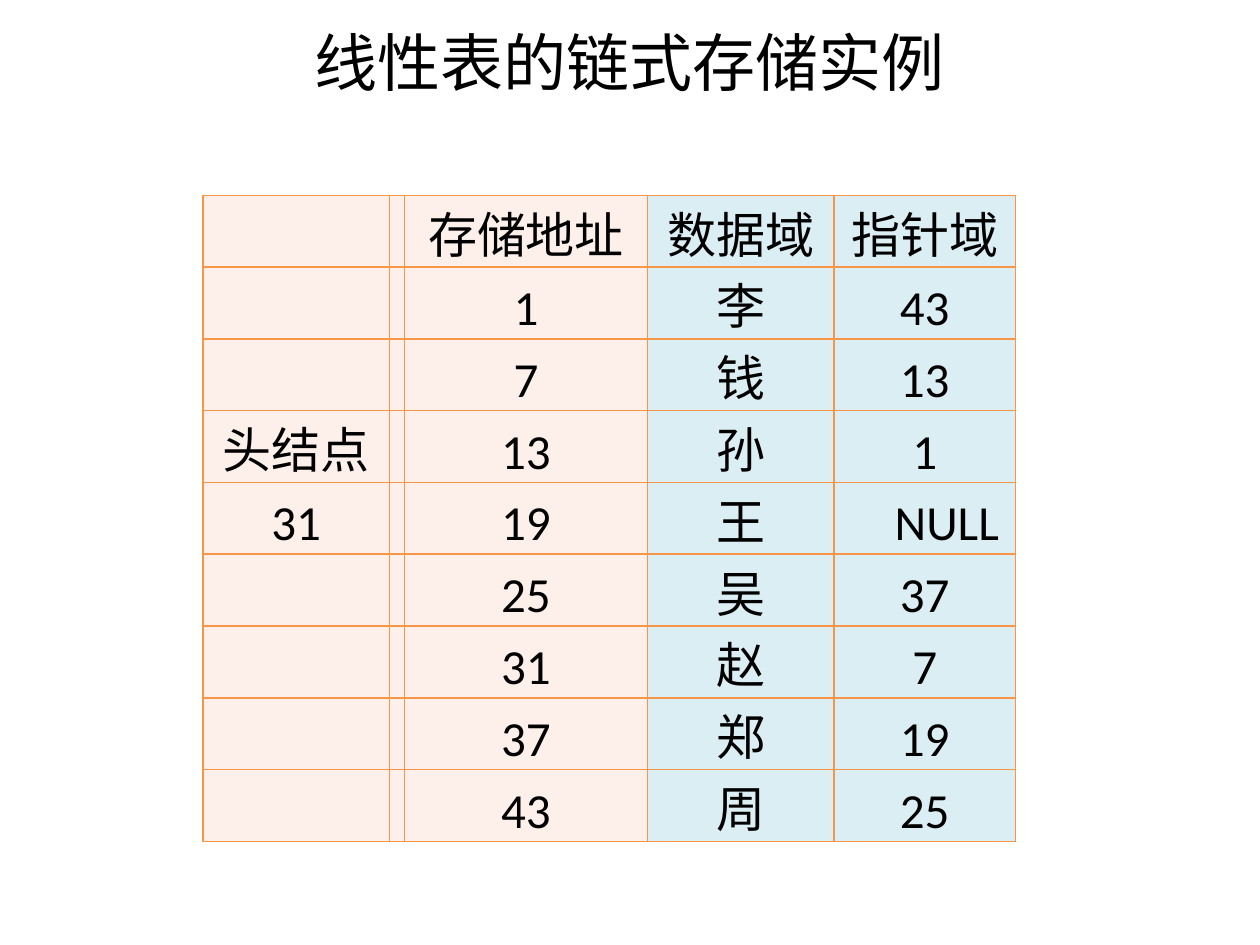
from lxml import etree
from pptx import Presentation
from pptx.dml.color import RGBColor
from pptx.enum import text
from pptx.oxml import ns
from pptx.util import Inches, Pt

TITLE = "线性表的链式存储实例"
HEADER = ("", "", "存储地址", "数据域", "指针域")
NODES = [("李", "43"), ("钱", "13"), ("孙", "1"), ("王", "NULL"),
         ("吴", "37"), ("赵", "7"), ("郑", "19"), ("周", "25")]
HEAD_LABELS = {2: "头结点", 3: "31"}  # node index -> text in the first column
FIRST_ADDRESS, ADDRESS_STEP = 1, 6

COLUMN_WIDTHS = (1.48, 0.12, 1.93, 1.48, 1.44)
ROW_HEIGHT = 0.57
COLUMN_FILLS = ("FDEFE9",) * 3 + ("DBEEF4",) * 2
BORDER = "F79646"
FONT = "Calibri"


def color(value):
    return RGBColor.from_string(value)


def write(frame, words, size, fill="000000", align=text.PP_ALIGN.CENTER):
    paragraph = frame.paragraphs[0]
    paragraph.alignment = align
    run = paragraph.add_run()
    run.text = words
    run.font.name, run.font.size = FONT, Pt(size)
    run.font.color.rgb = color(fill)


def add_borders(cell, line_color, width):
    properties = cell._tc.get_or_add_tcPr()
    for side in ("lnL", "lnR", "lnT", "lnB"):
        line = etree.SubElement(properties, ns.qn("a:" + side), w=str(Pt(width)))
        solid = etree.SubElement(line, ns.qn("a:solidFill"))
        etree.SubElement(solid, ns.qn("a:srgbClr"), val=line_color)


prs = Presentation()
prs.slide_width, prs.slide_height = Inches(10), Inches(7.5)
slide = prs.slides.add_slide(prs.slide_layouts[6])

# Title
title = slide.shapes.add_textbox(
    Inches(0.5), Inches(0.05), Inches(9), Inches(0.87)).text_frame
title.word_wrap = True
title.vertical_anchor = text.MSO_ANCHOR.MIDDLE
write(title, TITLE, 36)

# Linked list in storage: addresses rise by a fixed step
rows = [HEADER] + [
    (HEAD_LABELS.get(i, ""), "", str(FIRST_ADDRESS + i * ADDRESS_STEP), *node)
    for i, node in enumerate(NODES)]
storage = slide.shapes.add_table(
    len(rows), len(HEADER), Inches(1.61), Inches(1.55),
    Inches(sum(COLUMN_WIDTHS)), Inches(ROW_HEIGHT * len(rows))).table
storage.first_row = storage.horz_banding = False
for column, width in zip(storage.columns, COLUMN_WIDTHS):
    column.width = Inches(width)

for r, row in enumerate(rows):
    storage.rows[r].height = Inches(ROW_HEIGHT)
    for c, words in enumerate(row):
        cell = storage.cell(r, c)
        add_borders(cell, BORDER, 1)
        cell.fill.solid()
        cell.fill.fore_color.rgb = color(COLUMN_FILLS[c])
        cell.vertical_anchor = text.MSO_ANCHOR.BOTTOM
        cell.margin_left = cell.margin_right = cell.margin_top = Inches(0.01)
        cell.margin_bottom = 0
        if words == "NULL":  # the end marker sits right of centre
            cell.margin_left = Inches(0.36)
        if words:
            write(cell.text_frame, words, 28)

prs.save("out.pptx")
